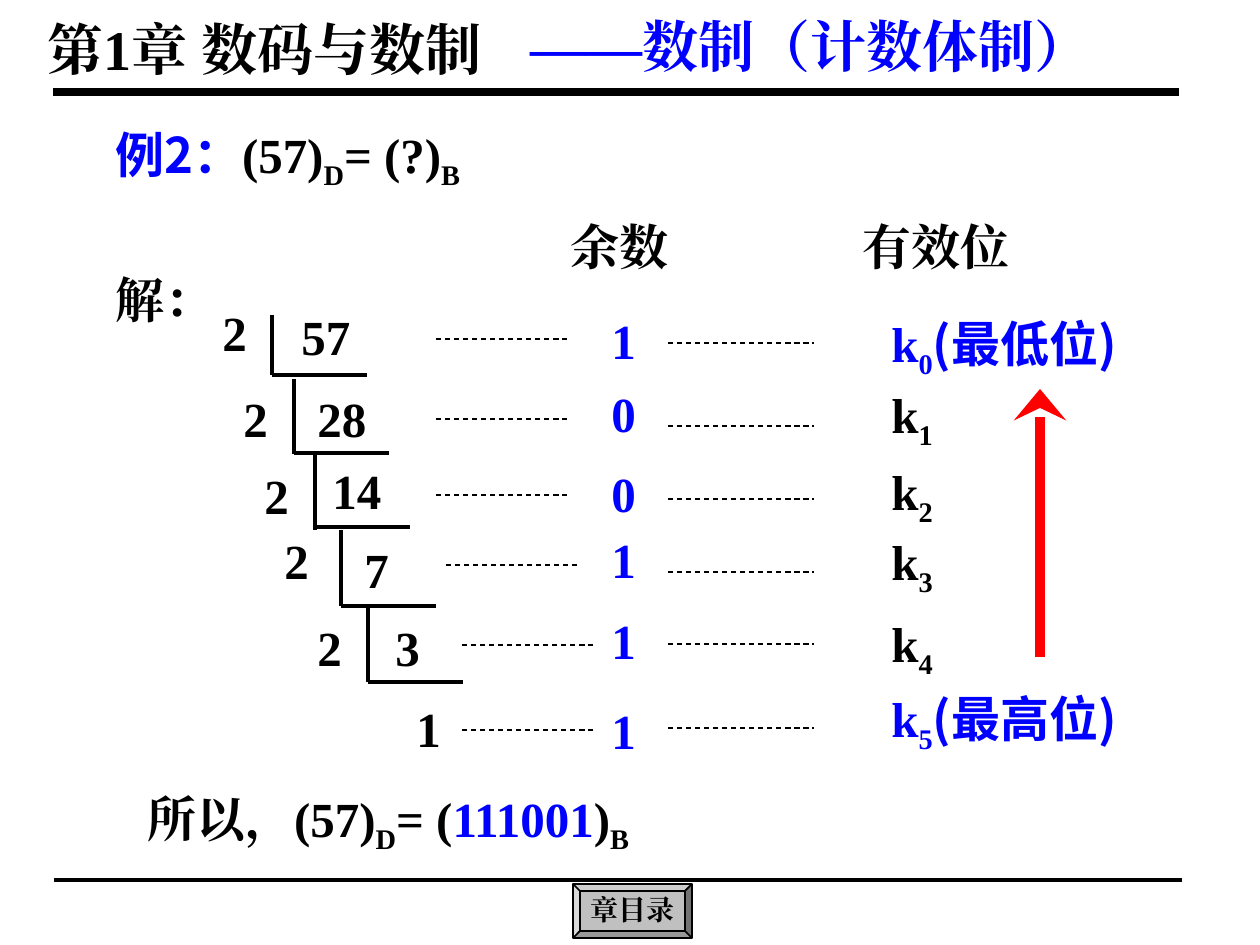
from lxml.etree import SubElement
from pptx import Presentation
from pptx.dml.color import RGBColor
from pptx.enum.dml import MSO_LINE
from pptx.enum.shapes import MSO_CONNECTOR, MSO_SHAPE
from pptx.enum.text import MSO_ANCHOR, MSO_AUTO_SIZE, PP_ALIGN
from pptx.oxml.ns import qn
from pptx.util import Pt

BLACK, BLUE, RED, GRAY = "000000", "0000FF", "FF0000", "C0C0C0"
SERIF, SANS = "Times New Roman", "Noto Sans CJK SC"
PX = 914400 / 126

TITLE = ("第1章 数码与数制", (35, 8, 583, 81))
TOPIC = ("——数制（计数体制）", (518, 5, 665, 81))
RULES = [(53, 92, 1179, 92, 4.5), (54, 880, 1182, 880, 2.25)]
HEADINGS = [("解：", (103, 263, 210, 72)), ("余数", (558, 210, 193, 72)),
            ("有效位", (850, 210, 174, 72))]
# runs: text, colour, subscript, font
EXAMPLE = [("例2：", BLUE, False, SANS), ("(57)", BLACK, False, SERIF),
           ("D", BLACK, True, SERIF), ("= (?)", BLACK, False, SERIF),
           ("B", BLACK, True, SERIF)]
ANSWER = [("所以，(57)", BLACK, False, SERIF), ("D", BLACK, True, SERIF),
          ("= (", BLACK, False, SERIF), ("111001", BLUE, False, SERIF),
          (")", BLACK, False, SERIF), ("B", BLACK, True, SERIF)]
# dividend, its left and top, divisor left and top, corner x, bar top, bar end, base y
DIVISIONS = [
    ("57", 289, 300, 210, 296, 272, 315, 375, 375),
    ("28", 305, 382, 231, 382, 294, 379, 454, 453),
    ("14", 320, 454, 252, 459, 315, 455, 530, 527),
    ("7", 352, 533, 272, 524, 341, 530, 606, 606),
    ("3", 383, 611, 305, 611, 368, 606, 682, 682),
]
LAST_QUOTIENT = ("1", (404, 692, 63, 72))
# remainder, its top, left dash x and y, right dash y, k top, k note
DIGITS = [
    ("1", 304, 436, 339, 343, 307, "(最低位)"),
    ("0", 377, 436, 419, 426, 378, ""),
    ("0", 457, 436, 495, 499, 455, ""),
    ("1", 523, 446, 565, 572, 525, ""),
    ("1", 604, 462, 645, 644, 607, ""),
    ("1", 694, 462, 730, 728, 682, "(最高位)"),
]
BUTTON = ("章目录", (573, 884, 119, 54))


def px(*values):
    return [round(v * PX) for v in values]


def color(value):
    return RGBColor.from_string(value)


def write(sp, runs, size=28):
    tf = sp.text_frame
    tf.word_wrap = True
    p = tf.paragraphs[0]
    for text, tone, sub, face in runs:
        r = p.add_run()
        r.text = text
        for name, value in {"size": Pt(size), "bold": True, "name": face}.items():
            setattr(r.font, name, value)
        r.font.color.rgb = color(tone)
        rpr = r.font._element
        SubElement(rpr, qn("a:ea")).set("typeface", face)
        if sub:
            rpr.set("baseline", "-25000")
    return tf


def add_text(shapes, box, runs, size=28):
    return write(shapes.add_textbox(*px(*box)), runs, size)


def add_line(shapes, x1, y1, x2, y2, width=2.25, tone=BLACK, dash=None):
    s = shapes.add_connector(MSO_CONNECTOR.STRAIGHT, *px(x1, y1, x2, y2))
    s.line.width = Pt(width)
    s.line.color.rgb = color(tone)
    s.line.dash_style = dash
    SubElement(s._element.spPr, qn("a:effectLst"))
    return s


def plain(text, tone=BLACK):
    return [(text, tone, False, SERIF)]


def add_button(shapes, text, box):
    sp = shapes.add_shape(MSO_SHAPE.BEVEL, *px(*box))
    sp.shadow.inherit = False
    sp.fill.solid()
    sp.fill.fore_color.rgb = color(GRAY)
    sp.line.color.rgb = color(BLACK)
    sp.line.width = Pt(1)
    tf = write(sp, plain(text), 16)
    margin = px(5)[0]
    for side in ("left", "top", "right", "bottom"):
        setattr(tf, f"margin_{side}", margin)
    tf.vertical_anchor = MSO_ANCHOR.MIDDLE
    tf.paragraphs[0].alignment = PP_ALIGN.CENTER
    tf.paragraphs[0].line_spacing = 0.9


def add_title(slide, text, box):
    sp = slide.shapes.title
    sp.left, sp.top, sp.width, sp.height = px(*box)
    tf = write(sp, plain(text), 32)
    tf.auto_size = MSO_AUTO_SIZE.NONE
    tf.vertical_anchor = MSO_ANCHOR.TOP
    tf.paragraphs[0].alignment = PP_ALIGN.LEFT


def main():
    """Build the slide that converts 57 to binary by repeated division."""
    prs = Presentation()
    prs.slide_width, prs.slide_height = px(1260, 945)
    slide = prs.slides.add_slide(prs.slide_layouts[5])
    shapes = slide.shapes

    add_title(slide, *TITLE)
    add_text(shapes, TOPIC[1], plain(TOPIC[0], BLUE), 32)
    for rule in RULES:
        add_line(shapes, *rule)
    add_button(shapes, *BUTTON)
    add_text(shapes, (103, 118, 418, 79), EXAMPLE)
    add_text(shapes, (135, 782, 728, 79), ANSWER)
    for text, box in HEADINGS + [LAST_QUOTIENT]:
        add_text(shapes, box, plain(text))

    for number, x, y, div_x, div_y, corner, top, end, base in DIVISIONS:
        add_text(shapes, (x, y, 94, 72), plain(number))
        add_text(shapes, (div_x, div_y, 63, 72), plain("2"))
        add_line(shapes, corner, top, corner, end)
        add_line(shapes, corner, base, corner + 95, base)

    for i, (digit, y, dash_x, dash_y, right_y, k_y, note) in enumerate(DIGITS):
        add_text(shapes, (599, y, 63, 72), plain(digit, BLUE))
        add_line(shapes, dash_x, dash_y, dash_x + 131, dash_y, 0.75, dash=MSO_LINE.DASH)
        add_line(shapes, 668, right_y, 814, right_y, 0.75, dash=MSO_LINE.DASH)
        tone = BLUE if note else BLACK
        runs = plain("k", tone) + [(str(i), tone, True, SERIF)]
        if note:
            runs.append((note, tone, False, SANS))
        add_text(shapes, (879, k_y, 281 if note else 93, 79), runs)

    arrow = add_line(shapes, 1040, 657, 1040, 389, 6, RED)
    head = SubElement(arrow.line._get_or_add_ln(), qn("a:tailEnd"))
    for name, value in {"type": "stealth", "w": "lg", "len": "med"}.items():
        head.set(name, value)

    prs.save("out.pptx")


if __name__ == "__main__":
    main()
